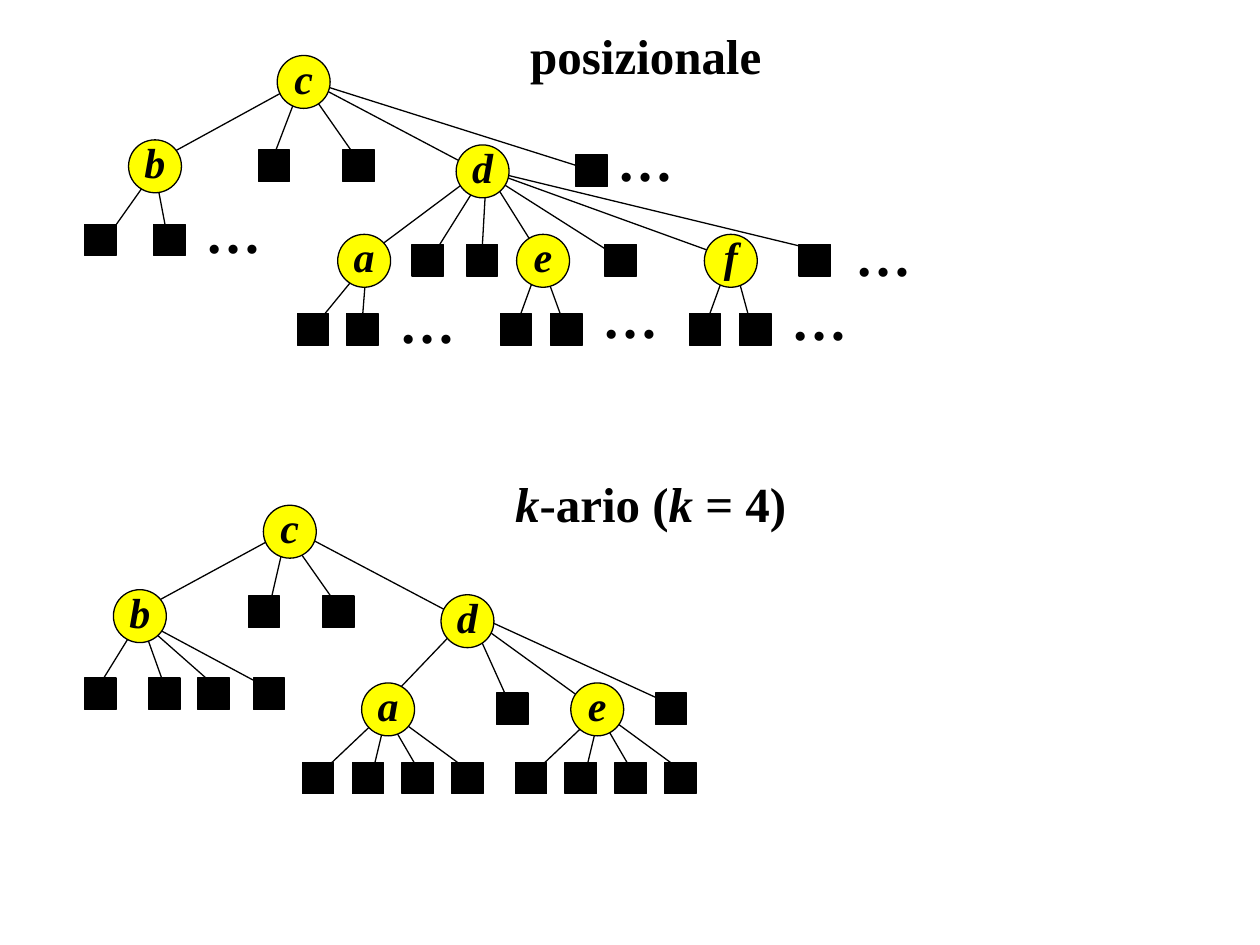
from typing import NamedTuple

from lxml.etree import SubElement
from pptx import Presentation
from pptx.dml.color import RGBColor
from pptx.enum.shapes import MSO_CONNECTOR, MSO_SHAPE
from pptx.enum.text import MSO_ANCHOR, MSO_AUTO_SIZE, PP_ALIGN
from pptx.oxml.ns import qn
from pptx.util import Inches, Pt

BLACK = RGBColor(0, 0, 0)
YELLOW = RGBColor(0xFF, 0xFF, 0)
FONT = "Times New Roman"
CIRCLE = 0.42
SQUARE = 0.25
LINE_WIDTH = Pt(0.75)


class Edge(NamedTuple):
    x1: float
    y1: float
    x2: float
    y2: float


class Node(NamedTuple):
    left: float
    top: float
    edge: Edge | None = None
    label: str = ""


class Caption(NamedTuple):
    left: float
    top: float
    width: float
    height: float
    runs: list[tuple[str, bool]]
    size: int


def dots(left: float, top: float) -> Caption:
    return Caption(left, top, 0.65, 0.63, [("…", False)], 32)


POSITIONAL = [
    Node(2.2, 0.44, label="c"),
    Node(1.02, 1.11, Edge(2.41, 0.64, 1.26, 1.27), "b"),
    Node(2.05, 1.19, Edge(2.4, 0.64, 2.16, 1.27)),
    Node(2.72, 1.19, Edge(2.4, 0.64, 2.84, 1.27)),
    Node(3.62, 1.15, Edge(2.44, 0.64, 3.86, 1.39), "d"),
    Node(4.57, 1.23, Edge(2.44, 0.64, 4.69, 1.35)),
    Node(0.67, 1.78, Edge(1.2, 1.39, 0.79, 1.97)),
    Node(1.22, 1.78, Edge(1.22, 1.31, 1.34, 1.94)),
    Node(2.68, 1.86, Edge(3.82, 1.35, 2.87, 2.06), "a"),
    Node(3.27, 1.94, Edge(3.86, 1.35, 3.39, 2.1)),
    Node(3.7, 1.94, Edge(3.86, 1.39, 3.82, 2.1)),
    Node(4.1, 1.86, Edge(3.86, 1.35, 4.33, 2.1), "e"),
    Node(4.8, 1.94, Edge(3.82, 1.35, 5, 2.1)),
    Node(5.59, 1.86, Edge(3.86, 1.35, 5.71, 2.02), "f"),
    Node(6.34, 1.94, Edge(3.86, 1.35, 6.46, 1.98)),
    Node(2.36, 2.49, Edge(2.93, 2.06, 2.48, 2.61)),
    Node(2.75, 2.49, Edge(2.91, 2.1, 2.87, 2.61)),
    Node(3.97, 2.49, Edge(4.29, 2.06, 4.09, 2.61)),
    Node(4.37, 2.49, Edge(4.29, 2.06, 4.49, 2.61)),
    Node(5.47, 2.49, Edge(5.79, 2.06, 5.59, 2.61)),
    Node(5.87, 2.49, Edge(5.83, 2.1, 5.98, 2.65)),
]
POSITIONAL_CAPTIONS = [
    Caption(4.11, 0.15, 2.05, 0.57, [("posizionale", False)], 28),
    dots(4.8, 0.95), dots(1.53, 1.52), dots(6.69, 1.7),
    dots(3.07, 2.23), dots(4.68, 2.19), dots(6.18, 2.21),
]


def four_leaves(left: float) -> list[Node]:
    starts = [(0.69, 5.62), (0.67, 5.66), (0.63, 5.61), (0.63, 5.61)]
    ends = [0.12, 0.55, 0.95, 1.38]
    return [
        Node(left + i * 0.395, 6.05, Edge(left + x, y, left + end, 6.16))
        for i, ((x, y), end) in enumerate(zip(starts, ends))
    ]


K_ARY = [
    Node(2.09, 4.01, label="c"),
    Node(0.9, 4.68, Edge(2.3, 4.2, 1.14, 4.83), "b"),
    Node(1.97, 4.73, Edge(2.28, 4.2, 2.13, 4.85)),
    Node(2.56, 4.73, Edge(2.28, 4.24, 2.68, 4.81)),
    Node(3.5, 4.72, Edge(2.32, 4.2, 3.74, 4.95), "d"),
    Node(0.67, 5.38, Edge(1.09, 4.95, 0.75, 5.5)),
    Node(1.18, 5.38, Edge(1.1, 4.87, 1.34, 5.54)),
    Node(1.57, 5.38, Edge(1.1, 4.91, 1.77, 5.5)),
    Node(2.01, 5.38, Edge(1.1, 4.91, 2.2, 5.5)),
    Node(2.87, 5.42, Edge(3.7, 4.91, 3.07, 5.57), "a"),
    Node(3.94, 5.5, Edge(3.74, 4.91, 4.06, 5.62)),
    Node(4.53, 5.42, Edge(3.74, 4.91, 4.72, 5.62), "e"),
    Node(5.2, 5.5, Edge(3.75, 4.87, 5.28, 5.57)),
    *four_leaves(2.4),
    *four_leaves(4.09),
]
K_ARY_CAPTIONS = [
    Caption(3.99, 3.71, 2.38, 0.57,
            [("k", True), ("-ario (", False), ("k ", True), ("= 4)", False)], 28),
]


def add_text(p, text: str, *, size: int, italic: bool = False) -> None:
    r = p.add_run()
    r.text = text
    r.font.name = FONT
    r.font.size = Pt(size)
    r.font.bold = True
    r.font.italic = italic
    r.font.color.rgb = BLACK


def draw_edge(shapes, edge: Edge) -> None:
    line = shapes.add_connector(MSO_CONNECTOR.STRAIGHT, *map(Inches, edge))
    line.line.color.rgb = BLACK
    line.line.width = LINE_WIDTH
    SubElement(line._element.spPr, qn("a:effectLst"))


def draw_node(shapes, node: Node) -> None:
    kind, size, color = (
        (MSO_SHAPE.OVAL, CIRCLE, YELLOW) if node.label
        else (MSO_SHAPE.RECTANGLE, SQUARE, BLACK)
    )
    sp = shapes.add_shape(kind, Inches(node.left), Inches(node.top),
                          Inches(size), Inches(size))
    sp.shadow.inherit = False
    sp.fill.solid()
    sp.fill.fore_color.rgb = color
    sp.line.color.rgb = BLACK
    sp.line.width = LINE_WIDTH
    if node.label:
        tf = sp.text_frame
        tf.word_wrap = False
        tf.vertical_anchor = MSO_ANCHOR.MIDDLE
        p = tf.paragraphs[0]
        p.alignment = PP_ALIGN.CENTER
        p.line_spacing = 0.8
        add_text(p, node.label, size=24, italic=True)


def draw_caption(shapes, caption: Caption) -> None:
    sp = shapes.add_textbox(Inches(caption.left), Inches(caption.top),
                            Inches(caption.width), Inches(caption.height))
    tf = sp.text_frame
    tf.word_wrap = False
    tf.auto_size = MSO_AUTO_SIZE.SHAPE_TO_FIT_TEXT
    for text, italic in caption.runs:
        add_text(tf.paragraphs[0], text, size=caption.size, italic=italic)


def draw_tree(shapes, nodes: list[Node], captions: list[Caption]) -> None:
    for node in nodes:
        if node.edge:
            draw_edge(shapes, node.edge)
    for node in nodes:
        draw_node(shapes, node)
    for caption in captions:
        draw_caption(shapes, caption)


prs = Presentation()
prs.slide_width = Inches(10)
prs.slide_height = Inches(7.5)
s = prs.slides.add_slide(prs.slide_layouts[6])
draw_tree(s.shapes, POSITIONAL, POSITIONAL_CAPTIONS)
draw_tree(s.shapes.add_group_shape().shapes, K_ARY, K_ARY_CAPTIONS)
prs.save("out.pptx")
